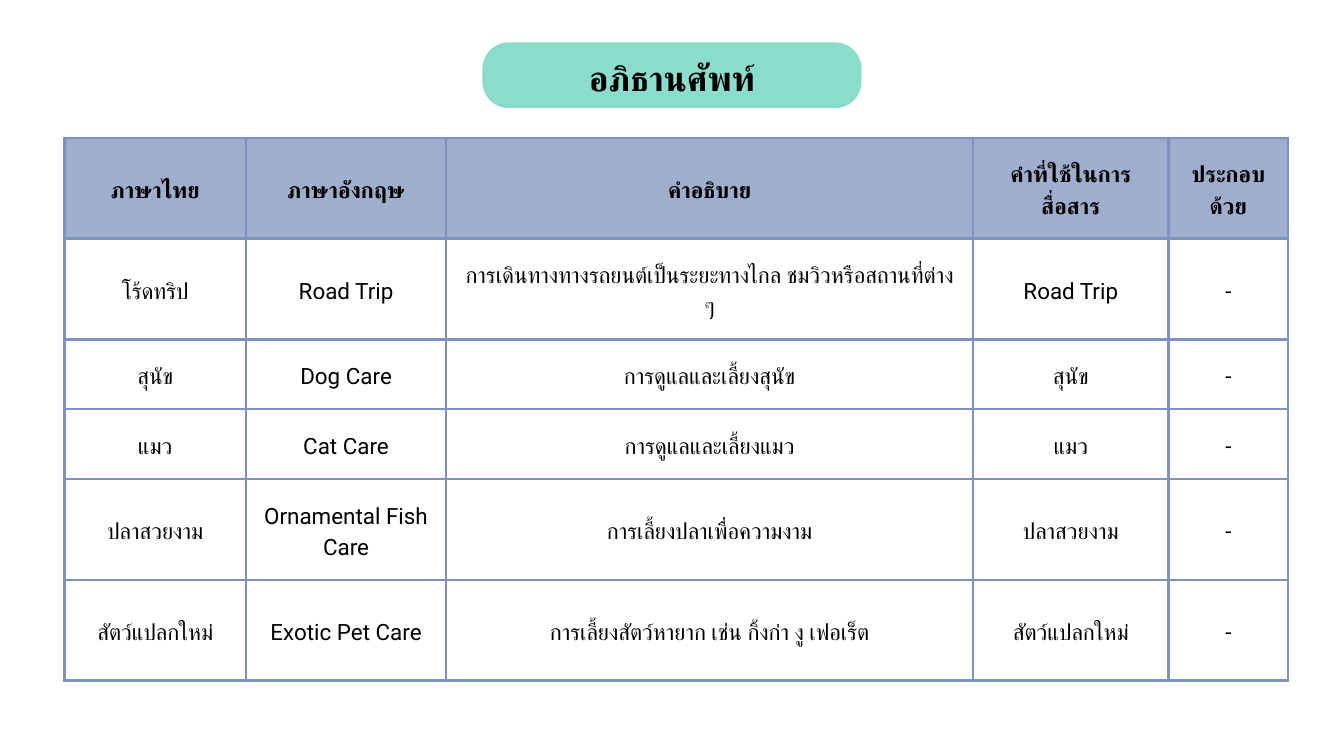
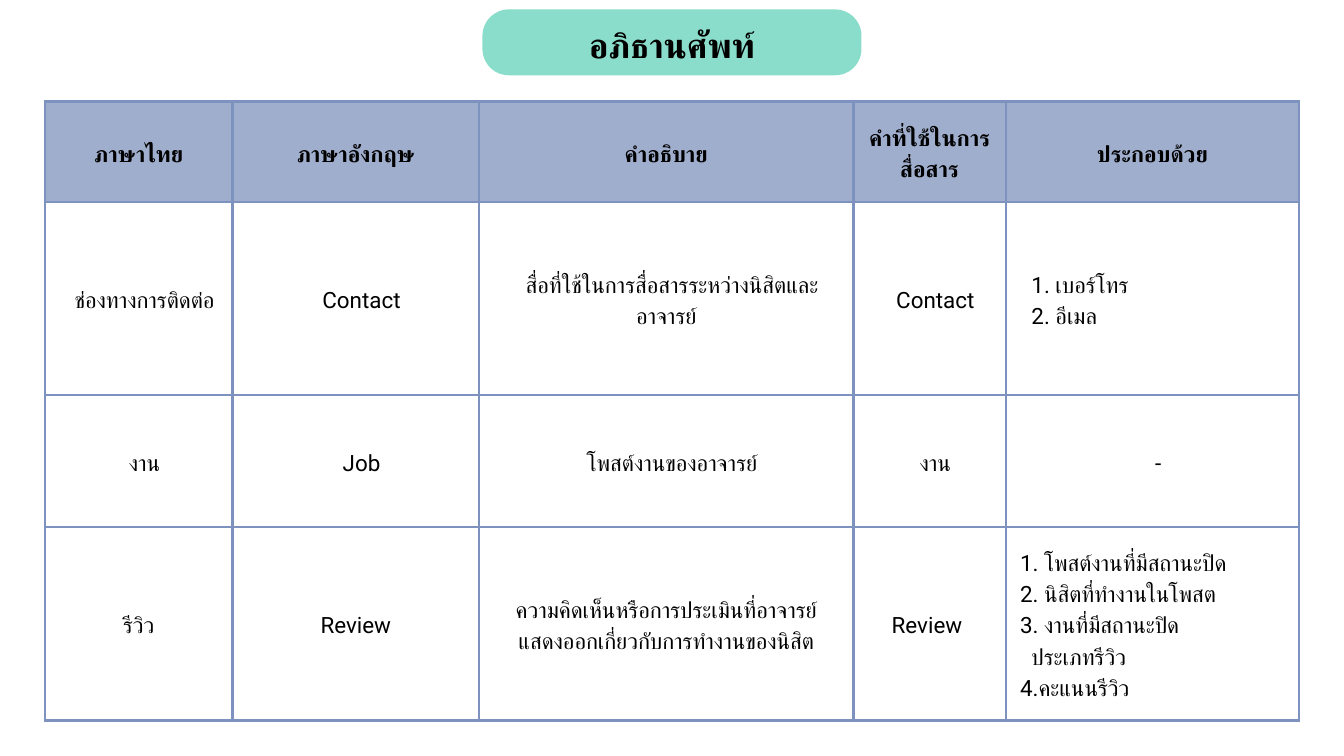
"""Builds two glossary slides, each a title pill above a bordered table."""
from lxml import etree
from pptx import Presentation
from pptx import util as u
from pptx.dml.color import RGBColor
from pptx.enum import shapes, text
from pptx.oxml import ns

PX = 9144
MINT, BLUE, LINE, INK = "8ADDCA", "A0AECD", "7E92C0", "000000"
FONT = "Roboto"
TITLE = "อภิธานศัพท์"
HEAD = ["ภาษาไทย", "ภาษาอังกฤษ", "คำอธิบาย", "คำที่ใช้ในการสื่อสาร", "ประกอบด้วย"]
PAD, STEP = 21, 17

PAGES = [
    {
        "pill": 63, "left": 96, "top": 205,
        "cols": [270, 298, 784, 291, 178],
        "rows": [
            (150, 0, HEAD),
            (150, 0, ["โร้ดทริป", "Road Trip",
                      "การเดินทางทางรถยนต์เป็นระยะทางไกล ชมวิวหรือสถานที่ต่าง ๆ",
                      "Road Trip", "-"]),
            (104, 0, ["สุนัข", "Dog Care", "การดูแลและเลี้ยงสุนัข", "สุนัข", "-"]),
            (104, 0, ["แมว", "Cat Care", "การดูแลและเลี้ยงแมว", "แมว", "-"]),
            (150, 0, ["ปลาสวยงาม", "Ornamental Fish Care",
                      "การเลี้ยงปลาเพื่อความงาม", "ปลาสวยงาม", "-"]),
            (150, 0, ["สัตว์แปลกใหม่", "Exotic Pet Care",
                      "การเลี้ยงสัตว์หายาก เช่น กิ้งก่า งู เฟอเร็ต",
                      "สัตว์แปลกใหม่", "-"]),
        ],
    },
    {
        "pill": 14, "left": 67, "top": 151,
        "cols": [279, 367, 557, 227, 436],
        "rows": [
            (150, 0, HEAD),
            (287, STEP, ["ช่องทางการติดต่อ", "Contact",
                         "สื่อที่ใช้ในการสื่อสารระหว่างนิสิตและอาจารย์",
                         "Contact", ["1. เบอร์โทร", "2. อีเมล"]]),
            (196, STEP, ["งาน", "Job", "โพสต์งานของอาจารย์", "งาน", "-"]),
            (288, 0, ["รีวิว", "Review",
                      "ความคิดเห็นหรือการประเมินที่อาจารย์แสดงออกเกี่ยวกับการทำงานของนิสิต",
                      ("Review", -8),
                      ["1. โพสต์งานที่มีสถานะปิด", "2. นิสิตที่ทำงานในโพสต",
                       "3. งานที่มีสถานะปิด", ("ประเภทรีวิว", STEP), "4.คะแนนรีวิว"]]),
        ],
    },
]


def px(n):
    return u.Emu(n * PX)


def color(code):
    return RGBColor.from_string(code)


def style(para, size, lead, bold, center=True):
    para.alignment = text.PP_ALIGN.CENTER if center else text.PP_ALIGN.LEFT
    para.line_spacing = u.Pt(lead)
    font = para.font
    font.size, font.bold = u.Pt(size), bold
    font.color.rgb = color(INK)
    font.name = FONT
    etree.SubElement(font._rPr, ns.qn("a:cs"), typeface=FONT)


def shift(para, gap):
    props = para._p.get_or_add_pPr()
    if gap > 0:
        props.set("marL", "0")
        props.set("indent", str(px(gap)))
    elif gap < 0:
        props.set("marR", str(px(-gap)))


def border(cell):
    props = cell._tc.get_or_add_tcPr()
    for side in "LRTB":
        line = etree.SubElement(props, ns.qn("a:ln" + side), w=str(u.Pt(3)))
        fill = etree.SubElement(line, ns.qn("a:solidFill"))
        etree.SubElement(fill, ns.qn("a:srgbClr"), val=LINE)


def fill_cell(cell, item, gap, head):
    border(cell)
    if head:
        cell.fill.solid()
        cell.fill.fore_color.rgb = color(BLUE)
    else:
        cell.fill.background()
    cell.margin_left = cell.margin_right = px(PAD)
    cell.margin_top = cell.margin_bottom = px(PAD)
    cell.vertical_anchor = text.MSO_ANCHOR.MIDDLE
    many = isinstance(item, list)
    frame = cell.text_frame
    for i, part in enumerate(item if many else [item]):
        words, move = part if isinstance(part, tuple) else (part, gap)
        para = frame.add_paragraph() if i else frame.paragraphs[0]
        para.text = words
        shift(para, move)
        style(para, 24, 33.6, head, not many)


def add_title(slide, top):
    pill = slide.shapes.add_shape(
        shapes.MSO_SHAPE.ROUNDED_RECTANGLE, px(718), px(top), px(564), px(98))
    pill.adjustments[0] = 0.4
    pill.shadow.inherit = False
    pill.fill.solid()
    pill.fill.fore_color.rgb = color(MINT)
    pill.line.fill.background()


def add_label(slide, top):
    frame = slide.shapes.add_textbox(px(850), px(top + 11), px(300), px(69)).text_frame
    frame.word_wrap = True
    frame.margin_left = frame.margin_right = frame.margin_top = frame.margin_bottom = 0
    para = frame.paragraphs[0]
    para.text = TITLE
    style(para, 37, 51.7, True)


def add_grid(slide, page):
    cols, rows = page["cols"], page["rows"]
    grid = slide.shapes.add_table(
        len(rows), len(cols), px(page["left"]), px(page["top"]),
        px(sum(cols)), px(sum(row[0] for row in rows))).table
    grid.first_row = grid.horz_banding = False
    for col, width in zip(grid.columns, cols):
        col.width = px(width)
    for r, (height, gap, items) in enumerate(rows):
        grid.rows[r].height = px(height)
        for c, item in enumerate(items):
            fill_cell(grid.cell(r, c), item, gap, r == 0)


def main():
    deck = Presentation()
    deck.slide_width, deck.slide_height = px(2000), px(1125)
    for page in PAGES:
        slide = deck.slides.add_slide(deck.slide_layouts[6])
        add_title(slide, page["pill"])
        add_grid(slide, page)
        add_label(slide, page["pill"])
    deck.save("out.pptx")


if __name__ == "__main__":
    main()
